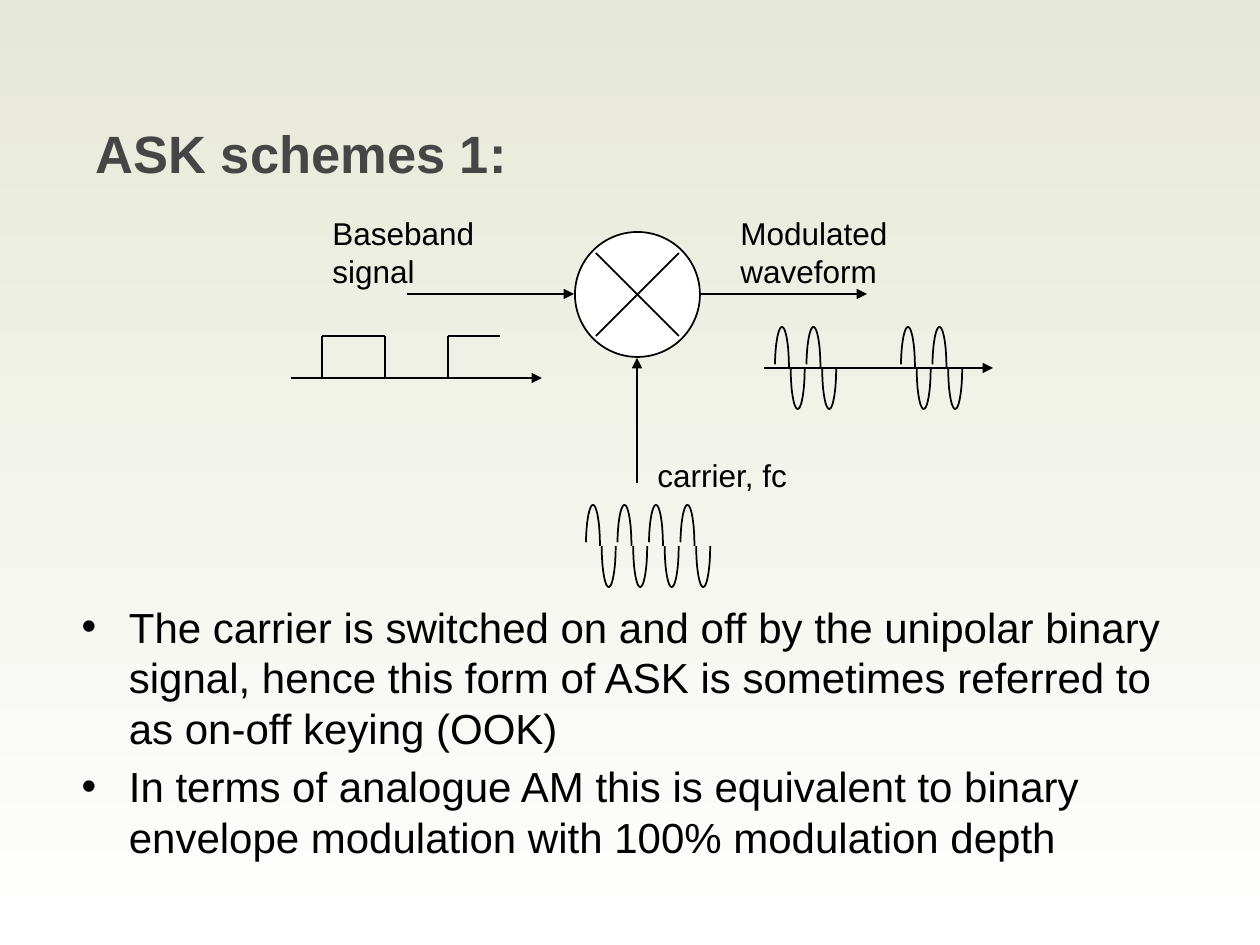
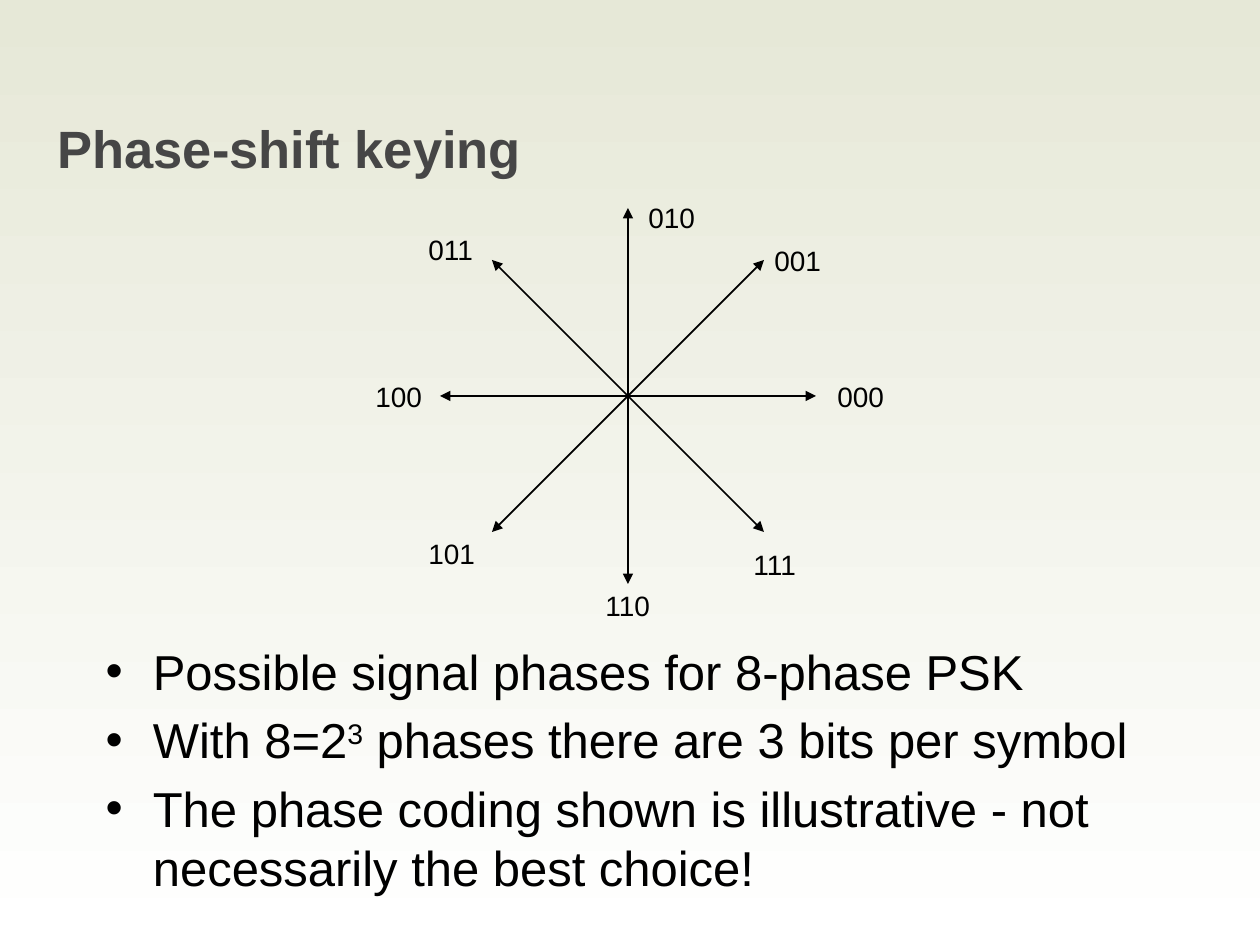
from itertools import pairwise
from math import cos, pi, sin

from lxml.etree import SubElement
from pptx import Presentation
from pptx.dml.color import RGBColor
from pptx.enum.shapes import MSO_CONNECTOR as Connector, MSO_SHAPE as Preset
from pptx.enum.text import MSO_ANCHOR as Anchor, MSO_AUTO_SIZE as AutoSize, PP_ALIGN as Align
from pptx.oxml.ns import qn
from pptx.util import Inches, Pt

SCALE = Inches(10) / 1260
FONT = "Arial"
BLACK = RGBColor(0x00, 0x00, 0x00)
WHITE = RGBColor(0xFF, 0xFF, 0xFF)
SAGE = RGBColor(0xE6, 0xE8, 0xD7)
TITLE_GREY = RGBColor(0x46, 0x46, 0x46)

ASK_POINTS = [
    ["The carrier is switched on and off by the unipolar binary signal, "
     "hence this form of ASK is sometimes referred to as on-off keying (OOK)"],
    ["In terms of analogue AM this is equivalent to binary envelope "
     "modulation with 100% modulation depth"],
]
PSK_POINTS = [
    ["Possible signal phases for 8-phase PSK"],
    ["With 8=2", "3", " phases there are 3 bits per symbol"],
    ["The phase coding shown is illustrative - not necessarily the best choice!"],
]
PHASE_LABELS = {
    "000": (197, -23), "001": (134, -159), "010": (8, -202), "011": (-212, -170),
    "100": (-265, -23), "101": (-212, 134), "111": (113, 145), "110": (-35, 186),
}


def px(length):
    return round(length * SCALE)


def set_font(para, size, color=BLACK, bold=False):
    font = para.font
    font.name, font.size, font.bold = FONT, Pt(size), bold
    font.color.rgb = color


def set_outline(shape):
    shape.line.color.rgb = BLACK
    shape.line.width = Pt(1)


def place(shape, box):
    shape.left, shape.top, shape.width, shape.height = map(px, box)


def paint_background(master):
    fill = master.background.fill
    fill.gradient()
    fill.gradient_angle = 270
    for stop, color in zip(fill.gradient_stops, (SAGE, WHITE)):
        stop.color.rgb = color


def add_page(deck, title, title_box, points, body_box, size):
    page = deck.slides.add_slide(deck.slide_layouts[1])
    heading, body = page.placeholders
    place(heading, title_box)
    frame = heading.text_frame
    frame.text = title
    frame.auto_size = AutoSize.NONE
    frame.vertical_anchor = Anchor.MIDDLE
    frame.paragraphs[0].alignment = Align.LEFT
    set_font(frame.paragraphs[0], 30, TITLE_GREY, True)

    place(body, body_box)
    frame = body.text_frame
    frame.auto_size = AutoSize.NONE
    for index, pieces in enumerate(points):
        para = frame.add_paragraph() if index else frame.paragraphs[0]
        if index == 0:
            para.space_before = Pt(0)
        set_font(para, size)
        for position, piece in enumerate(pieces):
            span = para.add_run()
            span.text = piece
            if position == 1:
                span._r.get_or_add_rPr().set("baseline", "30000")
    return page.shapes


def add_line(shapes, start, end, arrows=()):
    line = shapes.add_connector(Connector.STRAIGHT, *map(px, (*start, *end)))
    set_outline(line)
    properties = line._element.spPr
    for arrow in arrows:
        SubElement(properties.find(qn("a:ln")), qn(f"a:{arrow}End")).set("type", "triangle")
    SubElement(properties, qn("a:effectLst"))


def add_label(shapes, text, box, size, wrap=False):
    label = shapes.add_textbox(*map(px, box))
    frame = label.text_frame
    frame.word_wrap = wrap
    frame.auto_size = AutoSize.SHAPE_TO_FIT_TEXT
    frame.text = text
    set_font(frame.paragraphs[0], size)


def draw_half_wave(shapes, left, middle, rising):
    start, sign = (0.09, -1) if rising else (0, 1)
    angles = [start + (pi - start) * step / 24 for step in range(25)]
    points = [(px(left + 7 - 7 * cos(angle)), px(middle + sign * 41 * sin(angle)))
              for angle in angles]
    builder = shapes.build_freeform(*points[0])
    builder.add_line_segments(points[1:], close=False)
    wave = builder.convert_to_shape()
    wave.shadow.inherit = False
    wave.fill.background()
    set_outline(wave)


def draw_burst(shapes, left, middle, cycles):
    for half in range(2 * cycles):
        draw_half_wave(shapes, left + half * 63 / 4, middle, half % 2 == 0)


def draw_mixer(shapes, left, top, size):
    circle = shapes.add_shape(Preset.OVAL, *map(px, (left, top, size, size)))
    circle.shadow.inherit = False
    circle.fill.solid()
    circle.fill.fore_color.rgb = WHITE
    set_outline(circle)
    near, far = 21, size - 21
    add_line(shapes, (left + near, top + near), (left + far, top + far))
    add_line(shapes, (left + far, top + near), (left + near, top + far))
    middle_x, middle_y = left + size // 2, top + size // 2
    right, bottom = left + size + 1, top + size + 1
    add_line(shapes, (left - 168, middle_y), (left - 1, middle_y), ["tail"])
    add_line(shapes, (right, middle_y), (right + 166, middle_y), ["tail"])
    add_line(shapes, (middle_x, bottom), (middle_x, bottom + 125), ["head"])


def draw_square_wave(shapes, left, base):
    add_line(shapes, (left, base), (left + 251, base), ["tail"])
    steps = [(31, 0), (31, 42), (94, 42), (94, 0), (157, 0), (157, 42), (209, 42)]
    corners = [(left + across, base - rise) for across, rise in steps]
    for start, end in pairwise(corners):
        add_line(shapes, start, end)


def draw_modulated_wave(shapes, left, middle):
    add_line(shapes, (left, middle), (left + 229, middle), ["tail"])
    for offset in (11, 137):
        draw_burst(shapes, left + offset, middle, 2)


def draw_ask_modulator(shapes, left, top):
    draw_mixer(shapes, left + 284, top + 24, 125)
    add_label(shapes, "carrier, fc", (left + 354, top + 242, 156, 50), 18)
    add_label(shapes, "Baseband signal", (left + 29, top, 252, 50), 18, True)
    add_label(shapes, "Modulated waveform", (left + 437, top, 312, 50), 18, True)
    draw_square_wave(shapes, left, top + 170)
    draw_modulated_wave(shapes, left + 473, top + 160)
    draw_burst(shapes, left + 295, top + 338, 4)


def draw_phase_star(shapes, center_x, center_y):
    for across, down in [(0, 188), (188, 0), (136, 136), (136, -136)]:
        add_line(shapes, (center_x - across, center_y - down),
                 (center_x + across, center_y + down), ["head", "tail"])
    for bits, (across, down) in PHASE_LABELS.items():
        add_label(shapes, bits, (center_x + across, center_y + down, 72, 45), 16)


def main():
    deck = Presentation()
    deck.slide_width, deck.slide_height = Inches(10), Inches(7.5)
    paint_background(deck.slide_master)
    ask = add_page(deck, "ASK schemes 1:", (83, 81, 832, 144),
                   ASK_POINTS, (69, 595, 1123, 285), 24)
    draw_ask_modulator(ask, 291, 208)
    psk = add_page(deck, "Phase-shift keying", (45, 87, 941, 121),
                   PSK_POINTS, (93, 635, 1090, 262), 28)
    draw_phase_star(psk, 628, 396)
    deck.save("out.pptx")


if __name__ == "__main__":
    main()
